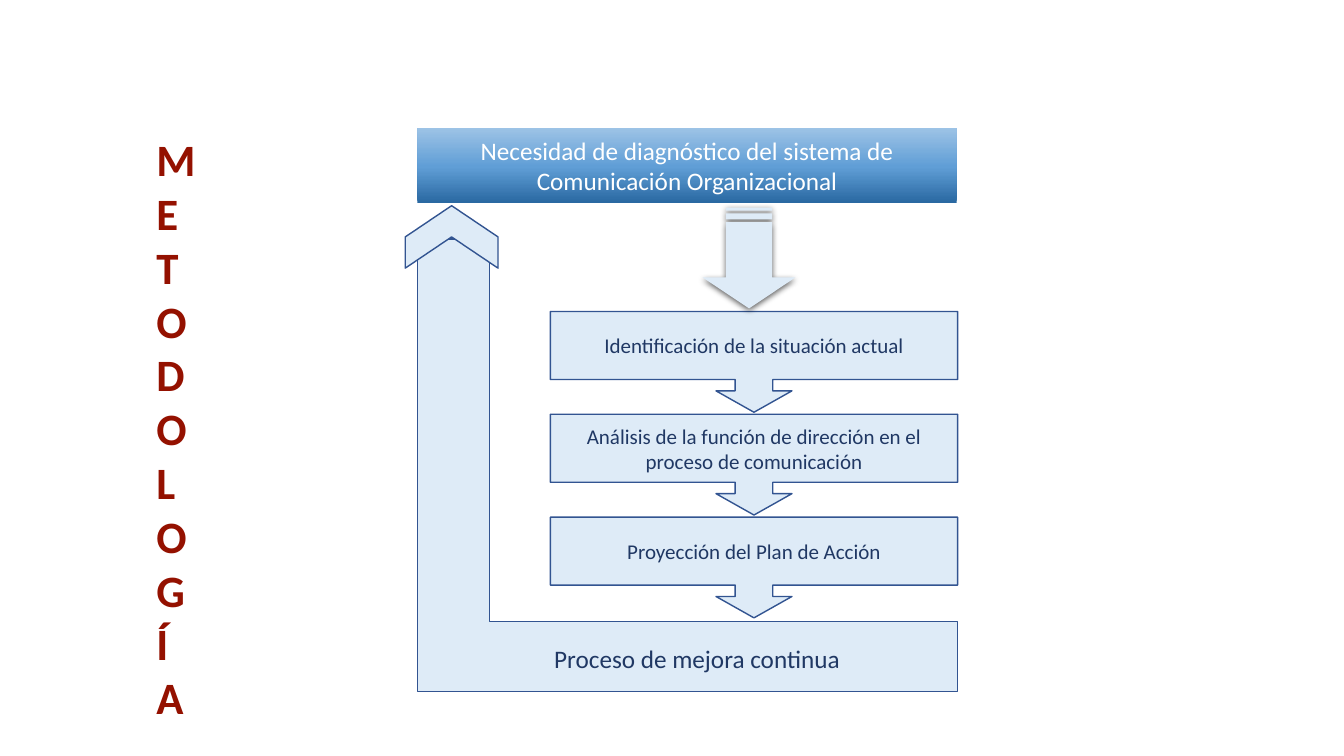
from lxml.etree import SubElement
from pptx import Presentation
from pptx.dml.color import RGBColor
from pptx.enum.shapes import MSO_SHAPE as Shape
from pptx.enum.text import MSO_ANCHOR as Anchor, MSO_AUTO_SIZE as AutoSize, PP_ALIGN as Align
from pptx.oxml.ns import qn
from pptx.util import Inches, Pt

WIDTH, HEIGHT = Inches(13.33), Inches(7.5)
COLORS = {
    "title": "941100",
    "pale": "DEEBF7",
    "outline": "325491",
    "ink": "203864",
    "white": "FFFFFF",
    "shadow": "000000",
    "deep": "2A69A2",
    "mid": "609ED6",
    "light": "9DC3E6",
}
STEPS = [
    "Identificación de la situación actual",
    "Análisis de la función de dirección en el proceso de comunicación",
    "Proyección del Plan de Acción",
]
STEP_TOP, STEP_PITCH = 41.2, 13.6


def color(name):
    return RGBColor.from_string(COLORS[name])


def place(left, top, width, height):
    """Turn percentages of the slide's size into lengths."""
    return (int(WIDTH * left / 100), int(HEIGHT * top / 100),
            int(WIDTH * width / 100), int(HEIGHT * height / 100))


def write(frame, text, size, ink, align=Align.CENTER, anchor=Anchor.MIDDLE, bold=False):
    frame.word_wrap = True
    frame.auto_size = AutoSize.NONE
    frame.vertical_anchor = anchor
    paragraph = frame.paragraphs[0]
    paragraph.text = text
    paragraph.alignment = align
    font = paragraph.font
    font.name, font.size, font.bold = "Calibri", Pt(size), bold
    font.color.rgb = color(ink)


def add_block(slide, kind, box, adjustments=(), rotation=0, outlined=True):
    block = slide.shapes.add_shape(kind, *place(*box))
    block.shadow.inherit = False
    block.rotation = rotation
    for index, value in enumerate(adjustments):
        block.adjustments[index] = value
    block.fill.solid()
    block.fill.fore_color.rgb = color("pale")
    if outlined:
        block.line.color.rgb = color("outline")
        block.line.width = Pt(1)
    else:
        block.line.fill.background()
    return block


def add_title(slide, text, box):
    title = slide.shapes.title
    title.left, title.top, title.width, title.height = place(*box)
    write(title.text_frame, text, 32, "title", Align.LEFT, Anchor.TOP, bold=True)


def shade_upwards(block, stops):
    """Fill with a gradient that runs from the bottom to the top."""
    block.fill.gradient()
    block.fill.gradient_angle = 90
    stop_list = block._element.spPr.find(qn("a:gradFill")).find(qn("a:gsLst"))
    stop_list.clear()
    for percent, name in stops:
        stop = SubElement(stop_list, qn("a:gs"), pos=str(percent * 1000))
        SubElement(stop, qn("a:srgbClr"), val=COLORS[name])


def cast_shadow(block):
    effects = block._element.spPr.find(qn("a:effectLst"))
    shadow = SubElement(effects, qn("a:outerShdw"), blurRad=str(int(Pt(4.5))),
                        dist=str(int(Pt(1.5))), dir="5400000", rotWithShape="0")
    tint = SubElement(shadow, qn("a:srgbClr"), val=COLORS["shadow"])
    SubElement(tint, qn("a:alpha"), val="63000")


def add_feedback_loop(slide):
    add_block(slide, Shape.CORNER, (31.05, 31.6, 40.2, 59.87), (0.155, 0.159))
    label = slide.shapes.add_textbox(*place(40.5, 84.4, 23.93, 5.33))
    write(label.text_frame, "Proceso de mejora continua", 18, "ink",
          Align.LEFT, Anchor.TOP)
    add_block(slide, Shape.CHEVRON, (31.28, 25.2, 4.65, 12.27), rotation=270)


def add_steps(slide):
    """Stack the steps from the last up, so each arrow lies over the next box."""
    for row, text in reversed(list(enumerate(STEPS))):
        step = add_block(slide, Shape.DOWN_ARROW_CALLOUT,
                         (40.95, STEP_TOP + row * STEP_PITCH, 30.3, 13.33),
                         (0.373, 0.377, 0.212, 0.675))
        write(step.text_frame, text, 15, "ink")


def add_need(slide):
    need = add_block(slide, Shape.RECTANGLE, (31.05, 16.93, 40.13, 9.87), outlined=False)
    shade_upwards(need, [(0, "deep"), (48, "mid"), (100, "light")])
    write(need.text_frame,
          "Necesidad de diagnóstico del sistema de Comunicación Organizacional",
          18, "white")
    arrow = add_block(slide, Shape.STRIPED_RIGHT_ARROW, (51.98, 28, 7.5, 12.27),
                      (0.5, 0.334), rotation=90, outlined=False)
    cast_shadow(arrow)


def main():
    deck = Presentation()
    deck.slide_width, deck.slide_height = WIDTH, HEIGHT
    slide = deck.slides.add_slide(deck.slide_layouts[5])
    add_title(slide, "METODOLOGÍA", (10.88, 16.8, 3.98, 80.27))
    add_feedback_loop(slide)
    add_steps(slide)
    add_need(slide)
    deck.save("out.pptx")


if __name__ == "__main__":
    main()
